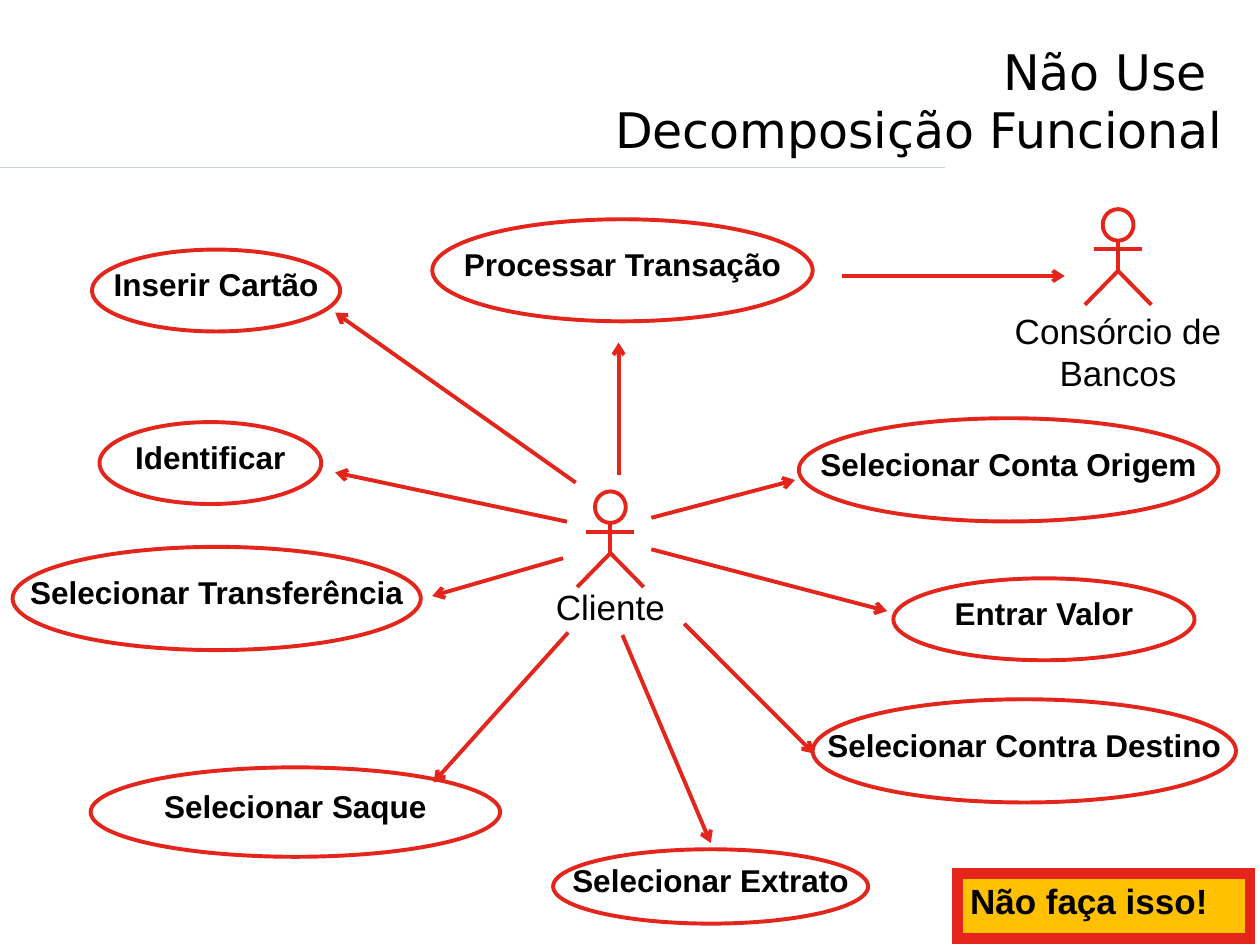
import dataclasses

import lxml.etree
import pptx
import pptx.dml.color
import pptx.enum.shapes
import pptx.enum.text
import pptx.oxml.ns
import pptx.util

Pt = pptx.util.Pt
SHAPE = pptx.enum.shapes.MSO_SHAPE
ALIGN = pptx.enum.text.PP_ALIGN
ANCHOR = pptx.enum.text.MSO_ANCHOR
AUTO_SIZE = pptx.enum.text.MSO_AUTO_SIZE
qn = pptx.oxml.ns.qn


@dataclasses.dataclass(frozen=True)
class Theme:
    red: str = "E4251C"
    amber: str = "FFC000"
    rule: str = "C4D6EB"
    ink: str = "000000"
    body_font: str = "Arial"
    title_font: str = "DejaVu Sans"
    title_size: float = 28
    case_size: float = 18
    label_size: float = 20
    stroke: float = 2.25
    rule_stroke: float = 0.75
    warning_stroke: float = 6


THEME = Theme()

USE_CASES = {
    "Identificar": (56.9, 241.2, 126.7, 46.8),
    "Inserir Cartão": (52.6, 142.6, 141.8, 46.8),
    "Selecionar Contra Destino": (464.4, 399.6, 241.9, 59),
    "Entrar Valor": (510.5, 330.5, 172.1, 46.8),
    "Selecionar Saque": (51.8, 438.5, 234, 51.1),
    "Selecionar Extrato": (316.1, 485.3, 180, 42.5),
    "Selecionar Transferência": (7.2, 312.5, 233.3, 59),
    "Selecionar Conta Origem": (456.5, 239, 239.8, 59),
    "Processar Transação": (247, 125.3, 217.4, 58.3),
}

ASSOCIATIONS = [
    (329, 275.8, 191.5, 178.6),
    (324, 298.1, 191.5, 270),
    (321.8, 319, 247, 340.6),
    (324.7, 361.4, 247.7, 447.1),
    (355.7, 362.9, 406.1, 481.7),
    (391, 356.4, 465.1, 430.6),
    (372.2, 313.9, 506.9, 349.2),
    (372.2, 295.9, 454.3, 274.3),
    (353.5, 271.4, 353.5, 195.8),
    (481, 157.7, 608.4, 157.7),
]


def points(lengths):
    return [Pt(length) for length in lengths]


def color(value):
    return pptx.dml.color.RGBColor.from_string(value)


def apply(target, formats):
    for attribute, value in formats.items():
        setattr(target, attribute, value)


def write(frame, text, size, font=THEME.body_font, bold=False,
          align=ALIGN.CENTER, **formats):
    apply(frame, formats)
    paragraph = frame.paragraphs[0]
    paragraph.text = text
    paragraph.alignment = align
    apply(paragraph.font, {"name": font, "size": Pt(size), "bold": bold})
    paragraph.font.color.rgb = color(THEME.ink)


def outline(shape, fill=None, stroke=THEME.stroke):
    shape.shadow.inherit = False
    if fill:
        shape.fill.solid()
        shape.fill.fore_color.rgb = color(fill)
    else:
        shape.fill.background()
    shape.line.color.rgb = color(THEME.red)
    shape.line.width = Pt(stroke)
    return shape


def draw_line(shapes, ends, tint=THEME.red, stroke=THEME.stroke, arrow=False):
    line = shapes.add_connector(pptx.enum.shapes.MSO_CONNECTOR.STRAIGHT, *points(ends))
    line.line.color.rgb = color(tint)
    line.line.width = Pt(stroke)
    properties = line._element.spPr
    if arrow:
        lxml.etree.SubElement(properties.find(qn("a:ln")), qn("a:tailEnd"), type="arrow")
    lxml.etree.SubElement(properties, qn("a:effectLst"))


def add_heading(slide, left, top, width, height):
    draw_line(slide.shapes, (0, 95.8, 540, 95.8), THEME.rule, THEME.rule_stroke)
    heading = slide.shapes.add_textbox(*points((left, top, width, height)))
    write(heading.text_frame, "Não Use \vDecomposição Funcional", THEME.title_size,
          font=THEME.title_font, align=ALIGN.RIGHT,
          word_wrap=True, vertical_anchor=ANCHOR.BOTTOM)


def add_use_case(slide, name, box):
    case = outline(slide.shapes.add_shape(SHAPE.OVAL, *points(box)))
    write(case.text_frame, name, THEME.case_size, bold=True, word_wrap=False,
          vertical_anchor=ANCHOR.MIDDLE, margin_left=Pt(7.2), margin_right=Pt(7.2),
          margin_top=Pt(3.6), margin_bottom=Pt(10.8))


def add_actor(slide, name, left, top, label_top, label_width, label_height):
    middle, hip, foot = left + 19, top + 35.3, top + 54.7
    figure = slide.shapes.add_group_shape().shapes
    outline(figure.add_shape(SHAPE.OVAL, *points((middle - 8.8, top, 17.6, 18))))
    draw_line(figure, (middle, top + 18, middle, hip))
    draw_line(figure, (middle - 13.7, top + 23, middle + 13.7, top + 23))
    legs = figure.build_freeform(*points((middle - 19, foot)))
    legs.add_line_segments([points((middle, hip)), points((middle + 19, foot))],
                           close=False)
    outline(legs.convert_to_shape())
    label = slide.shapes.add_textbox(
        *points((middle - label_width / 2, top + label_top, label_width, label_height)))
    write(label.text_frame, name, THEME.label_size, word_wrap=True,
          auto_size=AUTO_SIZE.SHAPE_TO_FIT_TEXT, margin_left=Pt(8.64),
          margin_right=Pt(8.64), margin_top=Pt(4.32), margin_bottom=Pt(4.32))


def add_warning(slide, left, top, width, height):
    warning = outline(
        slide.shapes.add_shape(SHAPE.RECTANGLE, *points((left, top, width, height))),
        THEME.amber, THEME.warning_stroke)
    border = warning._element.spPr.find(qn("a:ln"))
    lxml.etree.SubElement(border, qn("a:miter"), lim="800000")
    write(warning.text_frame, "Não faça isso!", THEME.label_size, bold=True,
          align=ALIGN.LEFT, word_wrap=True, vertical_anchor=ANCHOR.TOP,
          auto_size=AUTO_SIZE.SHAPE_TO_FIT_TEXT)


def main():
    presentation = pptx.Presentation()
    apply(presentation, {"slide_width": Pt(720), "slide_height": Pt(540)})
    slide = presentation.slides.add_slide(presentation.slide_layouts[6])
    add_heading(slide, 13, 19.4, 692.6, 74.9)
    for name, box in USE_CASES.items():
        add_use_case(slide, name, box)
    add_actor(slide, "Cliente", 329.8, 280.8, 49.7, 86, 32.4)
    add_actor(slide, "Consórcio de Bancos", 619.9, 119.5, 53.3, 136.8, 56.2)
    for ends in ASSOCIATIONS:
        draw_line(slide.shapes, ends, arrow=True)
    add_warning(slide, 547.2, 499, 167, 37.4)
    presentation.save("out.pptx")


if __name__ == "__main__":
    main()
